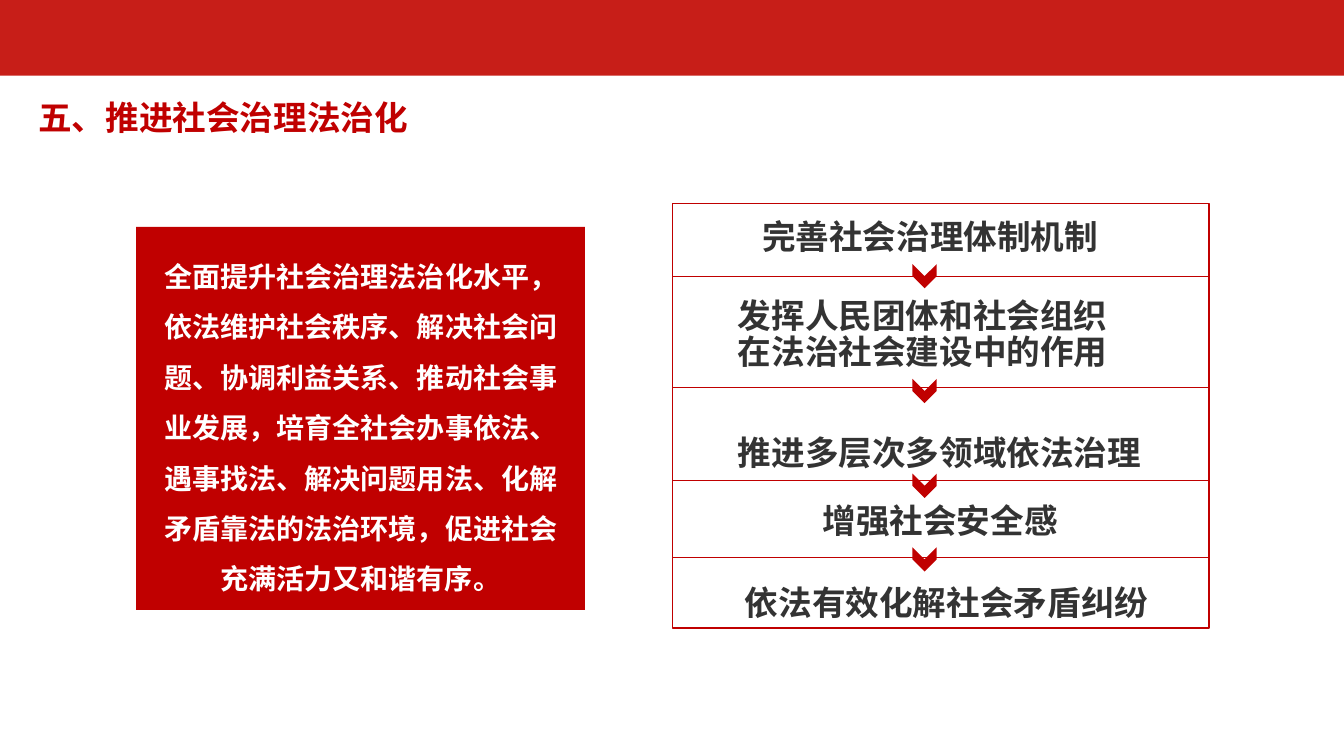
from dataclasses import dataclass

from lxml.etree import SubElement
from pptx import Presentation
from pptx.dml.color import RGBColor
from pptx.enum.shapes import MSO_CONNECTOR, MSO_SHAPE
from pptx.enum.text import MSO_ANCHOR, MSO_AUTO_SIZE, PP_ALIGN
from pptx.oxml.ns import qn
from pptx.shapes.autoshape import Shape
from pptx.slide import Slide
from pptx.util import Inches, Pt

FONT = "Noto Sans CJK SC"
COLORS = {
    "band": "C71E18",
    "red": "C00000",
    "dark": "333333",
    "white": "FFFFFF",
}
FRAME_LEFT, FRAME_TOP, FRAME_WIDTH, FRAME_HEIGHT = 6.67, 2.02, 5.32, 4.21
CHEVRON_LEFT, CHEVRON_SIZE = 9.05, 0.24


@dataclass
class Step:
    text: str
    left: float
    top: float
    width: float
    height: float
    spacing: float = 0.9


@dataclass
class Divider:
    y: float
    chevron_top: float


STEPS = [
    Step("完善社会治理体制机制", 7.46, 2.09, 3.66, 0.5, 1.0),
    Step("发挥人民团体和社会组织在法治社会建设中的作用", 7.22, 2.92, 4.15, 0.83),
    Step("推进多层次多领域依法治理", 7.22, 4.28, 4.3, 0.46),
    Step("增强社会安全感", 8.06, 4.96, 2.62, 0.46),
    Step("依法有效化解社会矛盾纠纷", 7.29, 5.77, 4.22, 0.46),
]
DIVIDERS = [
    Divider(2.74, 2.62),
    Divider(3.84, 3.76),
    Divider(4.77, 4.7),
    Divider(5.53, 5.43),
]
SUMMARY = (
    "全面提升社会治理法治化水平，依法维护社会秩序、解决社会问题、"
    "协调利益关系、推动社会事业发展，培育全社会办事依法、遇事找法、"
    "解决问题用法、化解矛盾靠法的法治环境，促进社会充满活力又和谐有序。"
)


def rgb(name: str) -> RGBColor:
    return RGBColor.from_string(COLORS[name])


def write_text(sp: Shape, text: str, *, size: float = 24, color: str = "dark",
               align: PP_ALIGN = PP_ALIGN.LEFT, spacing: float = 1.0,
               wrap: bool = True) -> None:
    tf = sp.text_frame
    tf.word_wrap = wrap
    tf.auto_size = MSO_AUTO_SIZE.SHAPE_TO_FIT_TEXT
    tf.vertical_anchor = MSO_ANCHOR.TOP
    p = tf.paragraphs[0]
    p.alignment = align
    p.line_spacing = spacing
    p.space_before = Pt(0)
    r = p.add_run()
    r.text = text
    r.font.size = Pt(size)
    r.font.bold = True
    r.font.name = FONT
    r.font.color.rgb = rgb(color)
    # Chinese characters take the East Asian typeface
    SubElement(r.font._element, qn("a:ea"), typeface=FONT)


def add_text(s: Slide, text: str, left: float, top: float, width: float,
             height: float, **style) -> None:
    sp = s.shapes.add_textbox(Inches(left), Inches(top), Inches(width), Inches(height))
    write_text(sp, text, **style)


def add_block(s: Slide, kind: MSO_SHAPE, left: float, top: float, width: float,
              height: float, *, fill: str | None = None,
              line: str | None = None) -> Shape:
    sp = s.shapes.add_shape(kind, Inches(left), Inches(top), Inches(width), Inches(height))
    sp.shadow.inherit = False
    if fill:
        sp.fill.solid()
        sp.fill.fore_color.rgb = rgb(fill)
    else:
        sp.fill.background()
    if line:
        sp.line.color.rgb = rgb(line)
        sp.line.width = Pt(1)
    else:
        sp.line.fill.background()
    return sp


def add_divider(s: Slide, y: float) -> None:
    line = s.shapes.add_connector(
        MSO_CONNECTOR.STRAIGHT, Inches(FRAME_LEFT), Inches(y),
        Inches(FRAME_LEFT + FRAME_WIDTH), Inches(y))
    line.line.color.rgb = rgb("red")
    line.line.width = Pt(0.5)
    SubElement(line._element.spPr, qn("a:effectLst"))


def add_title(s: Slide, text: str) -> None:
    title = s.shapes.title
    title.left, title.top = Inches(0.28), Inches(0.83)
    title.width, title.height = Inches(3.9), Inches(0.56)
    write_text(title, text, color="red", spacing=1.2, wrap=False)


def main() -> None:
    prs = Presentation()
    prs.slide_width, prs.slide_height = Inches(13.33), Inches(7.5)
    s = prs.slides.add_slide(prs.slide_layouts[5])

    add_block(s, MSO_SHAPE.RECTANGLE, 0, 0, 13.33, 0.75, fill="band")
    add_title(s, "五、推进社会治理法治化")

    add_block(s, MSO_SHAPE.RECTANGLE, 1.35, 2.25, 4.45, 3.8, fill="red")
    add_text(s, SUMMARY, 1.43, 2.36, 4.3, 3.64, size=20, color="white",
             align=PP_ALIGN.CENTER, spacing=1.5)

    for step in STEPS:
        add_text(s, step.text, step.left, step.top, step.width, step.height,
                 spacing=step.spacing)
    add_block(s, MSO_SHAPE.RECTANGLE, FRAME_LEFT, FRAME_TOP, FRAME_WIDTH,
              FRAME_HEIGHT, line="red")
    for divider in DIVIDERS:
        add_divider(s, divider.y)
    for divider in DIVIDERS:
        chevron = add_block(s, MSO_SHAPE.CHEVRON, CHEVRON_LEFT, divider.chevron_top,
                            CHEVRON_SIZE, CHEVRON_SIZE, fill="red")
        chevron.rotation = 90

    prs.save("out.pptx")


if __name__ == "__main__":
    main()
